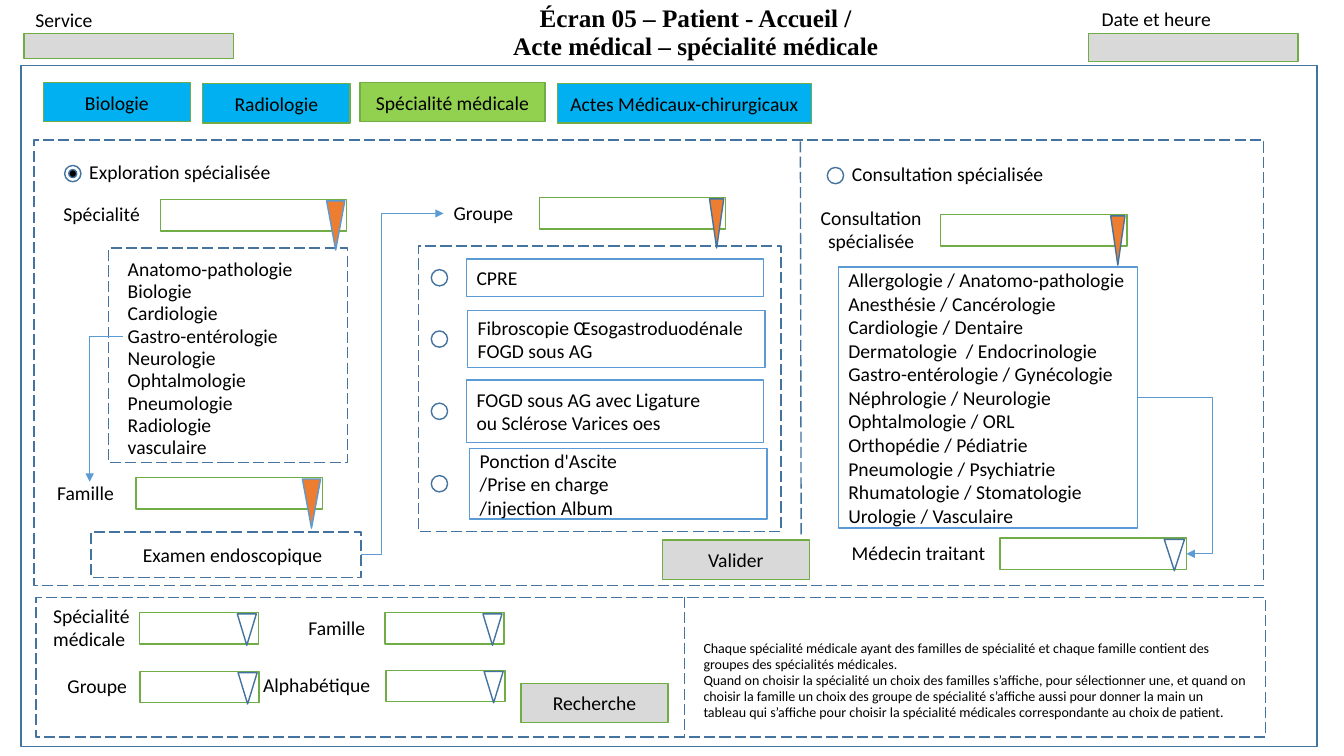
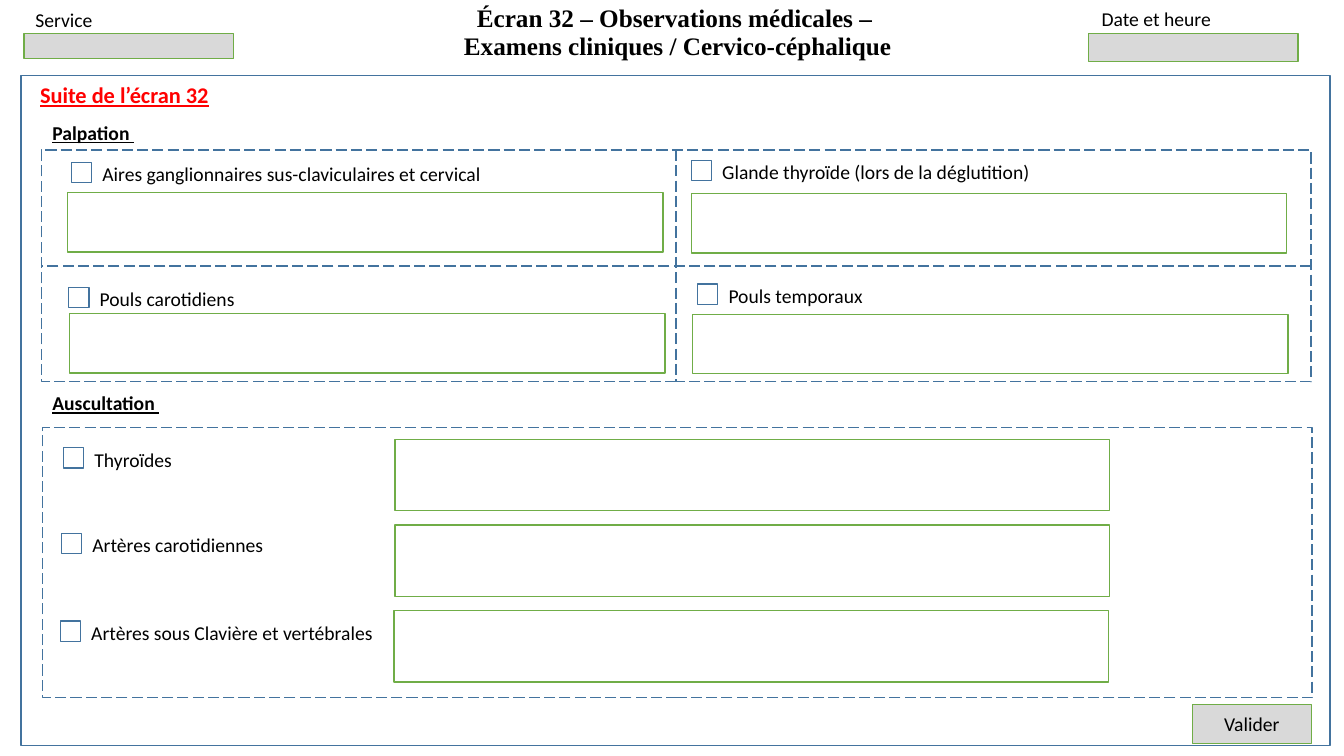
import lxml.etree
import pptx
import pptx.dml.color
import pptx.enum.dml
import pptx.enum.shapes
import pptx.enum.text
import pptx.oxml.ns
import pptx.util

Cm = pptx.util.Cm
Pt = pptx.util.Pt
qn = pptx.oxml.ns.qn
MSO_SHAPE = pptx.enum.shapes.MSO_SHAPE
MSO_CONNECTOR = pptx.enum.shapes.MSO_CONNECTOR
ANCHOR = pptx.enum.text.MSO_ANCHOR
ALIGN = pptx.enum.text.PP_ALIGN
LONG_DASH = pptx.enum.dml.MSO_LINE.LONG_DASH

NAVY, SKY, GREEN = "43739E", "5B9BD5", "70AD47"
GREY, CYAN, LIME = "D9D9D9", "00B0F0", "92D050"
ORANGE, RED, BLACK, WHITE = "ED7D31", "FF0000", "000000", "FFFFFF"
TOP, LEFT, BOTTOM, RIGHT = range(4)


def rgb(value):
    return pptx.dml.color.RGBColor.from_string(value)


class Wireframe:
    """Screen mock-up kit: holds the shared style and the current slide."""

    body = {"name": "Calibri", "size": Pt(14)}
    title = {"name": "Times New Roman", "size": Pt(18), "bold": True}
    heading = {"bold": True, "underline": True}
    radio_size, check_size = 0.41, 0.51

    def __init__(self, prs):
        self.prs = prs
        self.slide = None

    def screen(self, title, x, w, frame):
        self.slide = self.prs.slides.add_slide(self.prs.slide_layouts[6])
        self.text(title, x, 0.18, w, 1.5, anchor=ANCHOR.BOTTOM, align=ALIGN.CENTER, **self.title)
        self.shape(*frame)
        self.shape(0.61, 0.84, 5.28, 0.64, fill=GREY, line=GREEN)
        self.shape(27.43, 0.84, 5.28, 0.71, fill=GREY, line=GREEN)
        self.caption("Service", 0.64, 0.08, 3.56)
        self.caption("Date et heure", 27.51, 0.05, 4)

    def set_text(self, sp, text, anchor, align, spacing, color=BLACK, **font):
        tf = sp.text_frame
        tf.word_wrap = True
        tf.vertical_anchor = anchor
        for i, line in enumerate(text.split("\n")):
            p = tf.add_paragraph() if i else tf.paragraphs[0]
            p.alignment = align
            if spacing:
                p.line_spacing = spacing
            r = p.add_run()
            r.text = line
            for key, value in {**self.body, **font}.items():
                setattr(r.font, key, value)
            r.font.color.rgb = rgb(color)

    def text(self, text, x, y, w, h, anchor=ANCHOR.MIDDLE, align=ALIGN.LEFT, spacing=0.95, **font):
        sp = self.slide.shapes.add_textbox(Cm(x), Cm(y), Cm(w), Cm(h))
        self.set_text(sp, text, anchor, align, spacing, **font)

    def caption(self, text, x, y, w, **font):
        self.text(text, x, y, w, 0.86, anchor=ANCHOR.TOP, spacing=None, **font)

    def shape(self, x, y, w, h, kind=MSO_SHAPE.RECTANGLE, fill=None, line=NAVY, dash=None):
        sp = self.slide.shapes.add_shape(kind, Cm(x), Cm(y), Cm(w), Cm(h))
        sp.shadow.inherit = False
        if fill:
            sp.fill.solid()
            sp.fill.fore_color.rgb = rgb(fill)
        else:
            sp.fill.background()
        sp.line.color.rgb = rgb(line)
        for key, value in {"width": Pt(1), "dash_style": dash}.items():
            setattr(sp.line, key, value)
        return sp

    def panel(self, x, y, w, h):
        return self.shape(x, y, w, h, dash=LONG_DASH)

    def button(self, text, x, y, w=3.71, fill=GREY):
        sp = self.shape(x, y, w, 0.99, fill=fill, line=GREEN)
        self.set_text(sp, text, ANCHOR.MIDDLE, ALIGN.CENTER, None)

    def listing(self, text, x, y, w, h):
        sp = self.shape(x, y, w, h, fill=WHITE, line=SKY)
        self.set_text(sp, text, ANCHOR.MIDDLE, ALIGN.LEFT, None)
        return sp

    def dropdown(self, text, label_x, label_w, x, y, w=3, arrow=(0.48, 0.79),
                 fill=None, line=NAVY, align=ALIGN.LEFT):
        h = 0.79
        sp = self.shape(x, y, w, h, line=GREEN)
        self.text(text, label_x, y + h / 2 - 0.5, label_w, 1, align=align)
        arrow_w, arrow_h = arrow
        tip = self.shape(x + w - arrow_w - 0.05, y + 0.03, arrow_w, arrow_h,
                         MSO_SHAPE.ISOSCELES_TRIANGLE, fill, line)
        tip.rotation = 180
        return sp

    def radio(self, x, y, text=None, checked=False):
        size, dot = self.radio_size, 0.2
        self.shape(x, y, size, size, MSO_SHAPE.OVAL)
        if checked:
            inset = (size - dot) / 2
            self.shape(x + inset, y + inset, dot, dot, MSO_SHAPE.OVAL, BLACK)
        if text:
            self.text(text, x + 0.37, y - 0.26, 6, 0.81, spacing=None)

    def check(self, text, x, y, w):
        self.shape(x, y, self.check_size, self.check_size)
        self.caption(text, x + 0.53, y - 0.13, w)

    def connector(self, kind, x1, y1, x2, y2, start, end, color, width, dash=None):
        cxn = self.slide.shapes.add_connector(kind, Cm(x1), Cm(y1), Cm(x2), Cm(y2))
        if start:
            cxn.begin_connect(*start)
        if end:
            cxn.end_connect(*end)
        cxn.line.color.rgb = rgb(color)
        for key, value in {"width": Pt(width), "dash_style": dash}.items():
            setattr(cxn.line, key, value)
        lxml.etree.SubElement(cxn._element.spPr, qn("a:effectLst"))
        return cxn

    def divider(self, x1, y1, x2, y2, start=None, end=None):
        self.connector(MSO_CONNECTOR.STRAIGHT, x1, y1, x2, y2, start, end, NAVY, 1, LONG_DASH)

    def elbow(self, x1, y1, x2, y2, bend, start=None, end=None, turned=False):
        if turned:
            cx, cy, dx, dy = (x1 + x2) / 2, (y1 + y2) / 2, (x2 - x1) / 2, (y2 - y1) / 2
            x1, y1, x2, y2 = cx - dy, cy + dx, cx + dy, cy - dx
        cxn = self.connector(MSO_CONNECTOR.ELBOW, x1, y1, x2, y2, start, end, SKY, 0.5)
        spPr = cxn._element.spPr
        if turned:
            spPr.find(qn("a:xfrm")).set("rot", "5400000")
        geom = spPr.find(qn("a:prstGeom"))
        guides = geom.find(qn("a:avLst"))
        if guides is None:
            guides = lxml.etree.SubElement(geom, qn("a:avLst"))
        lxml.etree.SubElement(guides, qn("a:gd"), name="adj1", fmla=f"val {round(bend * 100000)}")
        lxml.etree.SubElement(spPr.find(qn("a:ln")), qn("a:tailEnd"), type="triangle")


def specialty_screen(ui):
    ui.screen("Écran 05 – Patient - Accueil /\nActe médical – spécialité médicale",
              12.57, 9.93, (0.53, 1.65, 32.66, 17.17))
    for text, x, y, w, fill in (
        ("Biologie", 1.09, 2.08, 3.71, CYAN),
        ("Radiologie", 5.11, 2.11, 3.71, CYAN),
        ("Spécialité médicale", 9.07, 2.08, 4.67, LIME),
        ("Actes Médicaux-chirurgicaux", 14.05, 2.11, 6.4, CYAN),
    ):
        ui.button(text, x, y, w, fill)

    ui.panel(0.86, 3.53, 30.99, 11.23)
    ui.panel(0.91, 15.06, 30.99, 3.51)
    ui.panel(2.74, 6.25, 6.02, 5.41)
    ui.panel(10.54, 6.2, 9.14, 7.19)
    exam = ui.panel(2.29, 13.41, 6.81, 1.14)
    ui.divider(20.17, 3.56, 20.19, 13.54)
    ui.divider(17.25, 15.04, 17.25, 18.54)

    ui.radio(1.63, 4.17, "Exploration spécialisée", checked=True)
    ui.radio(20.85, 4.22, "Consultation spécialisée")
    wide, narrow = (0.46, 1.24), (0.36, 1.24)
    ui.dropdown("Spécialité", 1.35, 2.69, 4.04, 5.03, 4.7, wide, ORANGE, SKY)
    ui.dropdown("Famille", 1.19, 2.16, 3.43, 12.04, 4.7, wide, ORANGE, SKY)
    ui.dropdown("Groupe", 11.18, 2.51, 13.59, 4.98, 4.7, narrow, ORANGE)
    ui.dropdown("Consultation spécialisée", 20.19, 3.53, 23.7, 5.41, 4.7, narrow, ORANGE,
                align=ALIGN.CENTER)
    doctor = ui.dropdown("Médecin traitant", 21.18, 3.94, 25.2, 13.56, 4.7, (0.51, 0.79),
                         align=ALIGN.CENTER)

    ui.text("Anatomo-pathologie\nBiologie\nCardiologie\nGastro-entérologie\nNeurologie\n"
            "Ophtalmologie\nPneumologie\nRadiologie\nvasculaire", 2.97, 6.45, 5.49, 5.18)
    ui.text("Examen endoscopique", 3.35, 13.54, 5.18, 0.91)
    for text, x, y, h in (
        ("CPRE", 11.76, 6.53, 0.94),
        ("Fibroscopie Œsogastroduodénale\nFOGD sous AG", 11.79, 7.82, 1.45),
        ("FOGD sous AG avec Ligature\nou Sclérose Varices oes", 11.76, 9.58, 1.57),
        ("Ponction d'Ascite\n/Prise en charge\n/injection Album", 11.84, 11.3, 1.78),
    ):
        ui.listing(text, x, y, 7.49, h)
        ui.radio(10.87, y + (h - ui.radio_size) / 2)
    consultations = ui.listing(
        "Allergologie / Anatomo-pathologie\nAnesthésie / Cancérologie\n"
        "Cardiologie / Dentaire\nDermatologie  / Endocrinologie\n"
        "Gastro-entérologie / Gynécologie\nNéphrologie / Neurologie\n"
        "Ophtalmologie / ORL\nOrthopédie / Pédiatrie\nPneumologie / Psychiatrie\n"
        "Rhumatologie / Stomatologie\nUrologie / Vasculaire", 21.13, 6.73, 7.54, 6.58)
    ui.elbow(3.1, 8.48, 2.26, 12.14, 0, turned=True)
    ui.elbow(9.1, 13.98, 11.18, 5.38, 0.25, start=(exam, RIGHT))
    ui.elbow(28.67, 10.02, 29.9, 13.96, 1.53, (consultations, RIGHT), (doctor, RIGHT))
    ui.button("Valider", 16.69, 13.61)

    ui.dropdown("Spécialité médicale", 1.09, 2.79, 3.51, 15.44)
    ui.dropdown("Famille", 7.52, 2.18, 9.7, 15.44)
    ui.dropdown("Groupe", 1.45, 2.06, 3.53, 16.92)
    ui.dropdown("Alphabétique", 6.38, 3.35, 9.73, 16.89)
    ui.button("Recherche", 13.13, 17.22)
    ui.text("Chaque spécialité médicale ayant des familles de spécialité et chaque famille "
            "contient des groupes des spécialités médicales.\n"
            "Quand on choisir la spécialité un choix des familles s’affiche, pour sélectionner "
            "une, et quand on choisir la famille un choix des groupe de spécialité s’affiche "
            "aussi pour donner la main un tableau qui s’affiche pour choisir la spécialité "
            "médicales correspondante au choix de patient.",
            17.48, 15.77, 14.17, 2.79, size=Pt(10))


def examination_screen(ui):
    ui.screen("Écran 32 – Observations médicales – \nExamens cliniques / Cervico-céphalique",
              8.76, 16.64, (0.53, 1.9, 32.99, 16.89))
    ui.text("Suite de l’écran 32", 0.76, 1.8, 5.74, 1.22, size=Pt(16), color=RED, **ui.heading)
    ui.caption("Palpation ", 1.07, 2.92, 4, **ui.heading)
    ui.caption("Auscultation ", 1.07, 9.73, 4, **ui.heading)

    palpation = ui.panel(1.04, 3.78, 32, 5.84)
    ui.divider(33.04, 6.7, 1.04, 6.7, (palpation, RIGHT), (palpation, LEFT))
    ui.divider(17.04, 3.78, 17.04, 9.62, (palpation, TOP), (palpation, BOTTOM))
    for text, x, y, w, field_x, field_y in (
        ("Aires ganglionnaires sus-claviculaires et cervical", 1.8, 4.09, 11, 1.7, 4.85),
        ("Glande thyroïde (lors de la déglutition)", 17.42, 4.04, 9, 17.42, 4.88),
        ("Pouls carotidiens", 1.73, 7.24, 5, 1.75, 7.9),
        ("Pouls temporaux", 17.58, 7.16, 5, 17.45, 7.92),
    ):
        ui.check(text, x, y, w)
        ui.shape(field_x, field_y, 15.01, 1.5, line=GREEN)

    ui.panel(1.07, 10.77, 32, 6.81)
    for i, (text, x, y, field_x) in enumerate((
        ("Thyroïdes", 1.6, 11.28, 9.96),
        ("Artères carotidiennes", 1.55, 13.44, 9.96),
        ("Artères sous Clavière et vertébrales", 1.52, 15.65, 9.93),
    )):
        ui.check(text, x, y, 7.8)
        ui.shape(field_x, 11.07 + 2.16 * i, 18.01, 1.8, line=GREEN)
    ui.button("Valider", 30.05, 17.75, 3)


def main():
    prs = pptx.Presentation()
    prs.slide_width, prs.slide_height = Cm(33.87), Cm(19.05)
    ui = Wireframe(prs)
    specialty_screen(ui)
    examination_screen(ui)
    prs.save("out.pptx")


if __name__ == "__main__":
    main()
